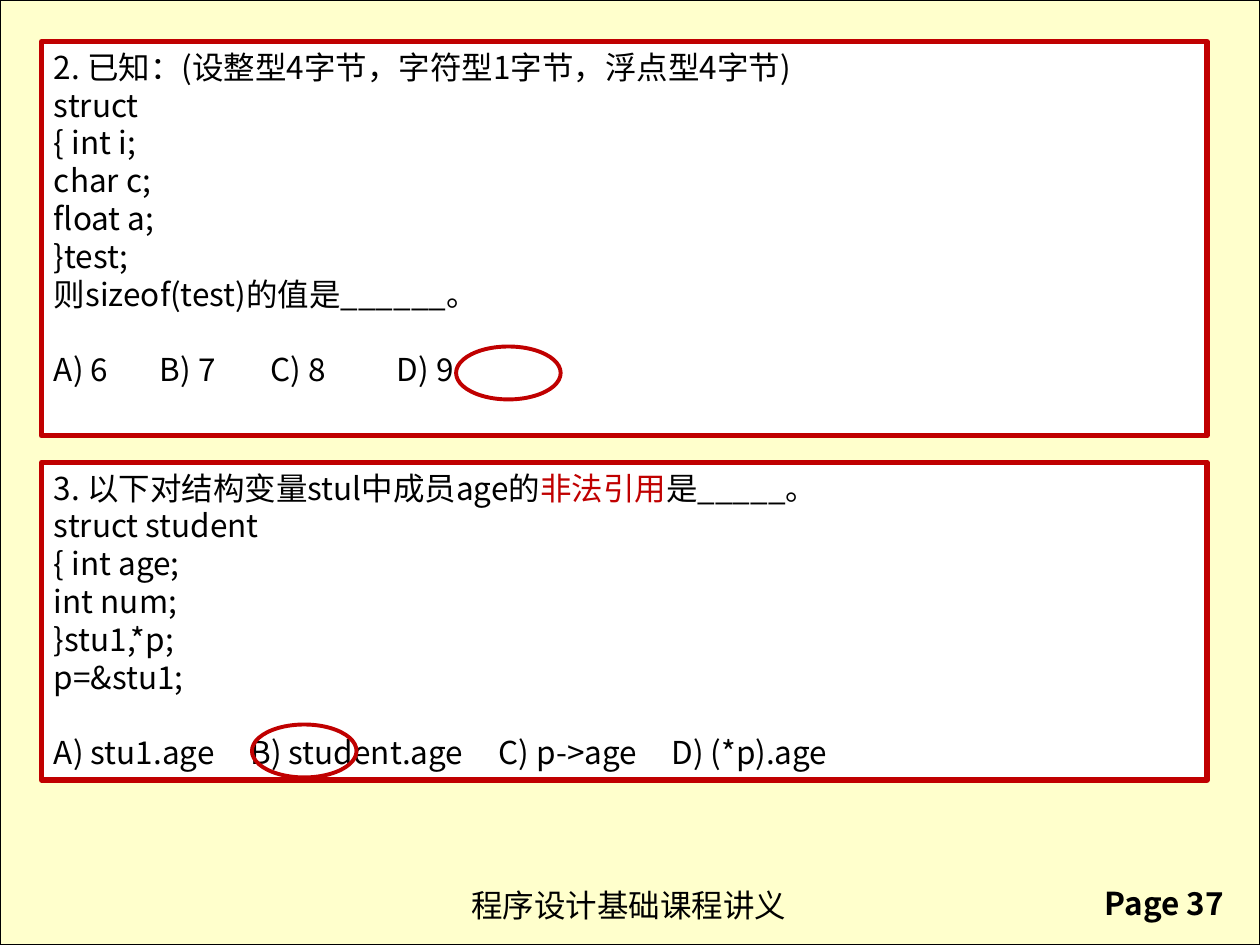
from dataclasses import dataclass

from lxml import etree
from pptx import Presentation
from pptx.dml.color import RGBColor
from pptx.enum.shapes import MSO_SHAPE
from pptx.enum.text import MSO_ANCHOR, PP_ALIGN
from pptx.oxml.ns import qn
from pptx.util import Inches, Pt

RECT, OVAL = MSO_SHAPE.RECTANGLE, MSO_SHAPE.OVAL
TOP, LEFT = MSO_ANCHOR.TOP, PP_ALIGN.LEFT


@dataclass(frozen=True)
class Theme:
    paper: RGBColor = RGBColor(0xFF, 0xFF, 0xCC)
    white: RGBColor = RGBColor(0xFF, 0xFF, 0xFF)
    ink: RGBColor = RGBColor(0, 0, 0)
    red: RGBColor = RGBColor(0xC0, 0, 0)
    face: str = "Noto Sans CJK SC"
    plain: str = "Arial"
    size: Pt = Pt(18)
    lead: Pt = Pt(21.6)
    edge: float = 0.75
    frame: float = 3
    ring: float = 2.25


THEME = Theme()


@dataclass(frozen=True)
class Quiz:
    top: float
    height: float
    head: tuple[tuple[str, RGBColor], ...]
    code: tuple[str, ...]
    picks: tuple[str, ...]
    tabs: tuple[float, ...]
    ring: tuple[float, float]


@dataclass(frozen=True)
class Note:
    text: str
    box: tuple[float, float, float, float]
    face: str
    bold: bool


QUIZZES = (
    Quiz(0.33, 3.13,
         (("2. 已知：(设整型4字节，字符型1字节，浮点型4字节)", THEME.ink),),
         ("struct", "{ int i;", "char c;", "float a;", "}test;",
          "则sizeof(test)的值是______。"),
         ("A) 6", "B) 7", "C) 8", "D) 9"), (0.84, 1.72, 2.72), (3.62, 2.75)),
    Quiz(3.67, 2.52,
         (("3. 以下对结构变量stul中成员age的", THEME.ink),
          ("非法引用", THEME.red), ("是_____。", THEME.ink)),
         ("struct student", "{ int age;", "int num;", "}stu1,*p;", "p=&stu1;"),
         ("A) stu1.age", "B) student.age", "C) p->age", "D) (*p).age"),
         (1.56, 3.53, 4.9), (2, 5.75)),
)
NOTES = (
    Note("程序设计基础课程讲义", (3.64, 6.98, 2.73, 0.4), THEME.plain, False),
    Note("Page 37", (8.67, 6.97, 1.28, 0.4), THEME.face, True),
)


def apply(item, values: dict) -> None:
    for name, value in values.items():
        setattr(item, name, value)


def add_run(para, text: str, color=THEME.ink, face=THEME.face, bold=False) -> None:
    run = para.add_run()
    run.text = text
    apply(run.font, {"size": THEME.size, "name": face, "bold": bold})
    run.font.color.rgb = color
    east = etree.SubElement(run.font._element, qn("a:ea"))
    east.set("typeface", THEME.face)


def set_para(para, before=Pt(0)) -> None:
    apply(para, {"alignment": LEFT, "line_spacing": THEME.lead,
                 "space_before": before})


def set_tabs(para, stops: tuple[float, ...]) -> None:
    group = etree.SubElement(para._p.get_or_add_pPr(), qn("a:tabLst"))
    for stop in stops:
        tab = etree.SubElement(group, qn("a:tab"))
        tab.set("pos", str(Inches(stop)))
        tab.set("algn", "l")


def add_shape(slide, kind, box: tuple, fill, line, width: float):
    shape = slide.shapes.add_shape(kind, *map(Inches, box))
    shape.shadow.inherit = False
    if fill is None:
        shape.fill.background()
    else:
        shape.fill.solid()
        shape.fill.fore_color.rgb = fill
    shape.line.color.rgb = line
    shape.line.width = Pt(width)
    return shape


def add_note(slide, note: Note) -> None:
    frame = slide.shapes.add_textbox(*map(Inches, note.box)).text_frame
    frame.word_wrap = False
    para = frame.paragraphs[0]
    set_para(para)
    add_run(para, note.text, face=note.face, bold=note.bold)


def add_quiz(slide, quiz: Quiz) -> None:
    box = (0.33, quiz.top, 9.25, quiz.height)
    shape = add_shape(slide, RECT, box, THEME.white, THEME.red, THEME.frame)
    frame = shape.text_frame
    apply(frame, {"word_wrap": True, "vertical_anchor": TOP})
    para = frame.paragraphs[0]
    set_para(para)
    for text, color in quiz.head:
        add_run(para, text, color)
    for text in quiz.code:
        para = frame.add_paragraph()
        set_para(para)
        add_run(para, text)
    para = frame.add_paragraph()
    set_para(para, THEME.lead)
    set_tabs(para, quiz.tabs)
    add_run(para, "\t".join(quiz.picks))
    add_shape(slide, OVAL, (*quiz.ring, 0.83, 0.42), None, THEME.red, THEME.ring)


def main() -> None:
    deck = Presentation()
    apply(deck, {"slide_width": Inches(10), "slide_height": Inches(7.5)})
    slide = deck.slides.add_slide(deck.slide_layouts[6])
    add_shape(slide, RECT, (0, 0, 10, 7.5), THEME.paper, THEME.ink, THEME.edge)
    for note in NOTES:
        add_note(slide, note)
    for quiz in QUIZZES:
        add_quiz(slide, quiz)
    deck.save("out.pptx")


if __name__ == "__main__":
    main()
